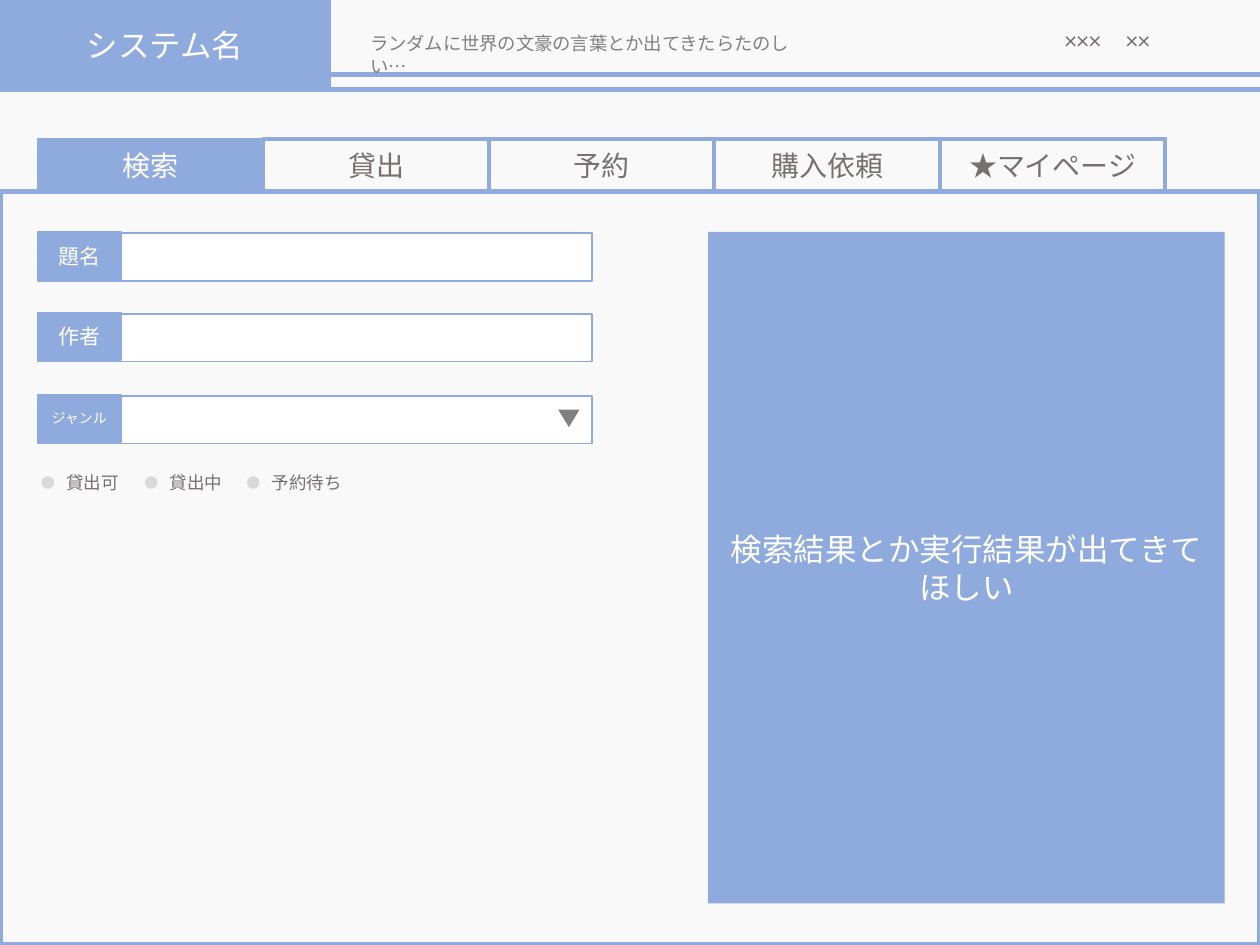
from pptx import Presentation
from pptx.dml.color import RGBColor
from pptx.enum.shapes import MSO_SHAPE as SHP, MSO_CONNECTOR as CON
from pptx.enum.text import MSO_ANCHOR as ANC, MSO_AUTO_SIZE as FIT, PP_ALIGN as AL
from pptx.oxml.ns import qn
from pptx.util import Inches, Pt
from lxml import etree

BLUE, WHITE, GRAY, MID, PALE = "8FAADC", "FFFFFF", "767171", "808080", "D9D9D9"
JP = "Noto Sans CJK JP"


def style(sp, fill=None, line=None):
    for part, color in ((sp.fill, fill), (sp.line.fill, BLUE if line else None)):
        if color:
            part.solid()
            part.fore_color.rgb = RGBColor.from_string(color)
        else:
            part.background()
    if line:
        sp.line.width = Pt(line)
    sp.shadow.inherit = False
    return sp


def write(sp, text, size, color=WHITE, name=JP, align=AL.CENTER, anchor=ANC.MIDDLE, wrap=True):
    tf = sp.text_frame
    fmt = {"word_wrap": wrap, "vertical_anchor": anchor,
           "auto_size": FIT.NONE if anchor == ANC.MIDDLE else FIT.SHAPE_TO_FIT_TEXT}
    for key, value in fmt.items():
        setattr(tf, key, value)
    p = tf.paragraphs[0]
    p.alignment = align
    r = p.add_run()
    r.text = text
    for key, value in {"size": Pt(size), "name": name}.items():
        setattr(r.font, key, value)
    r.font.color.rgb = RGBColor.from_string(color)
    etree.SubElement(r._r.get_or_add_rPr(), qn("a:ea")).set("typeface", JP)


prs = Presentation()
prs.slide_width, prs.slide_height = Inches(10), Inches(7.5)
s = prs.slides.add_slide(prs.slide_layouts[5])
s.background.fill.solid()
s.background.fill.fore_color.rgb = RGBColor.from_string("F9F9F9")
shapes = s.shapes
label = {"align": AL.LEFT, "anchor": ANC.TOP}

style(shapes.add_shape(SHP.RECTANGLE, 0, Inches(1.52), Inches(10), Inches(5.98)), line=3)

for y in (0.59, 0.71):
    rule = shapes.add_connector(CON.STRAIGHT, 0, Inches(y), Inches(10), Inches(y))
    rule.line.color.rgb = RGBColor.from_string(BLUE)
    rule.line.width = Pt(3)
    etree.SubElement(rule._element.spPr, qn("a:effectLst"))

title = shapes.title
box = {"left": 0, "top": 0, "width": Inches(2.62), "height": Inches(0.71)}
for key, value in box.items():
    setattr(title, key, value)
style(title, BLUE, 1)
write(title, "システム名", 18)
shapes._spTree.append(title._element)

user = shapes.add_textbox(Inches(8.35), Inches(0.15), Inches(1.31), Inches(0.34))
write(user, "×××　××", 14, GRAY, "Calibri", wrap=False, **label)

quote = shapes.add_textbox(Inches(2.84), Inches(0.21), Inches(3.6), Inches(0.28))
write(quote, "ランダムに世界の文豪の言葉とか出てきたらたのしい…", 10.5, MID, "Calibri", **label)

for i, text in enumerate(("検索", "貸出", "予約", "購入依頼", "★マイページ")):
    tab = shapes.add_shape(SHP.RECTANGLE, Inches(0.3 + 1.79 * i), Inches(1.1),
                           Inches(1.79), Inches(0.42))
    active = i == 0
    style(tab, BLUE if active else None, 1 if active else 2.25)
    write(tab, text, 16, WHITE if active else GRAY)

result = shapes.add_shape(SHP.RECTANGLE, Inches(5.62), Inches(1.84), Inches(4.1), Inches(5.33))
style(result, BLUE)
write(result, "検索結果とか実行結果が出てきてほしい", 18)

for y, text, size in ((1.84, "題名", 12), (2.48, "作者", 12), (3.13, "ジャンル", 8)):
    field = shapes.add_shape(SHP.RECTANGLE, Inches(0.3), Inches(y + 0.01), Inches(4.4), Inches(0.38))
    style(field, WHITE, 1)
    name = shapes.add_shape(SHP.RECTANGLE, Inches(0.3), Inches(y), Inches(0.66), Inches(0.38))
    style(name, BLUE, 1)
    write(name, text, size)

arrow = shapes.add_shape(SHP.ISOSCELES_TRIANGLE, Inches(4.43), Inches(3.25), Inches(0.17), Inches(0.14))
arrow.rotation = 180
style(arrow, MID)

status = shapes.add_group_shape()
for x, text, width in ((0.33, "貸出可", 0.62), (1.15, "貸出中", 0.62), (1.96, "予約待ち", 0.76)):
    dot = status.shapes.add_shape(SHP.OVAL, Inches(x), Inches(3.78), Inches(0.1), Inches(0.1))
    style(dot, PALE)
    option = status.shapes.add_textbox(Inches(x + 0.1), Inches(3.7), Inches(width), Inches(0.27))
    write(option, text, 10, GRAY, wrap=False, **label)

prs.save("out.pptx")
